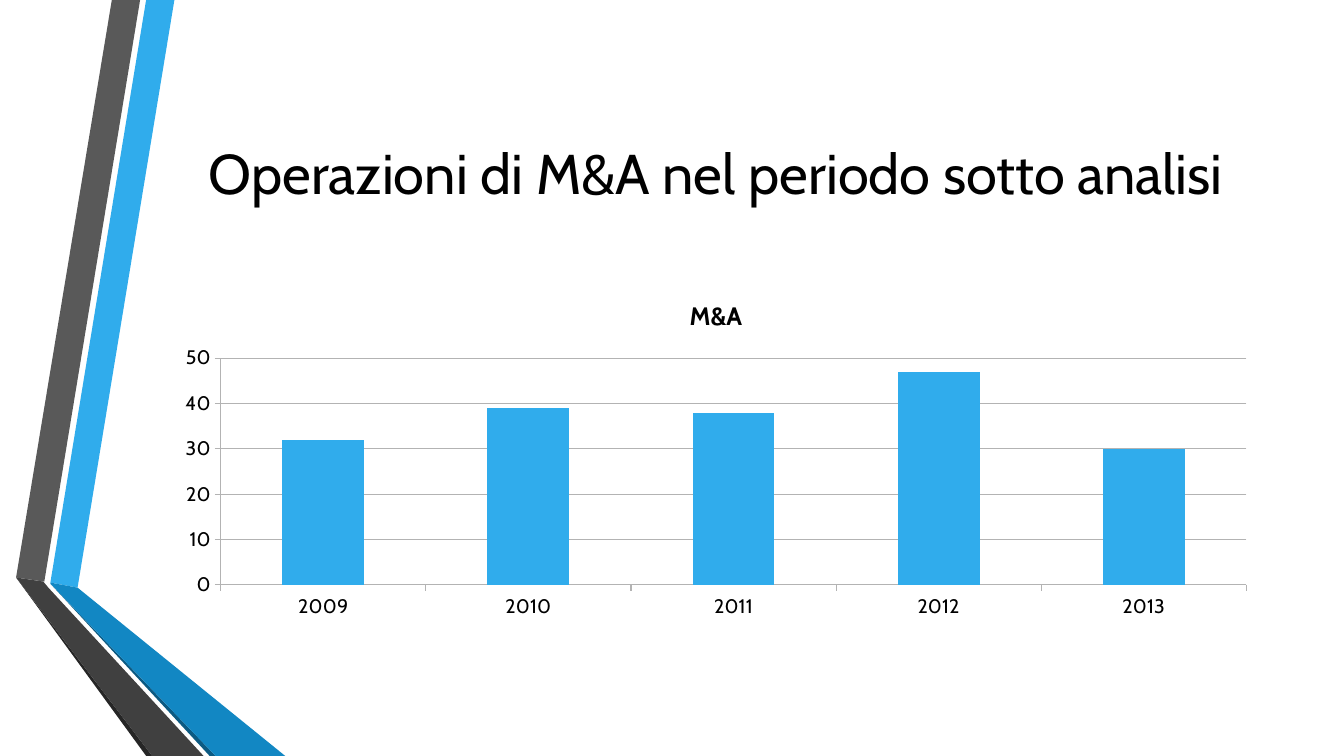
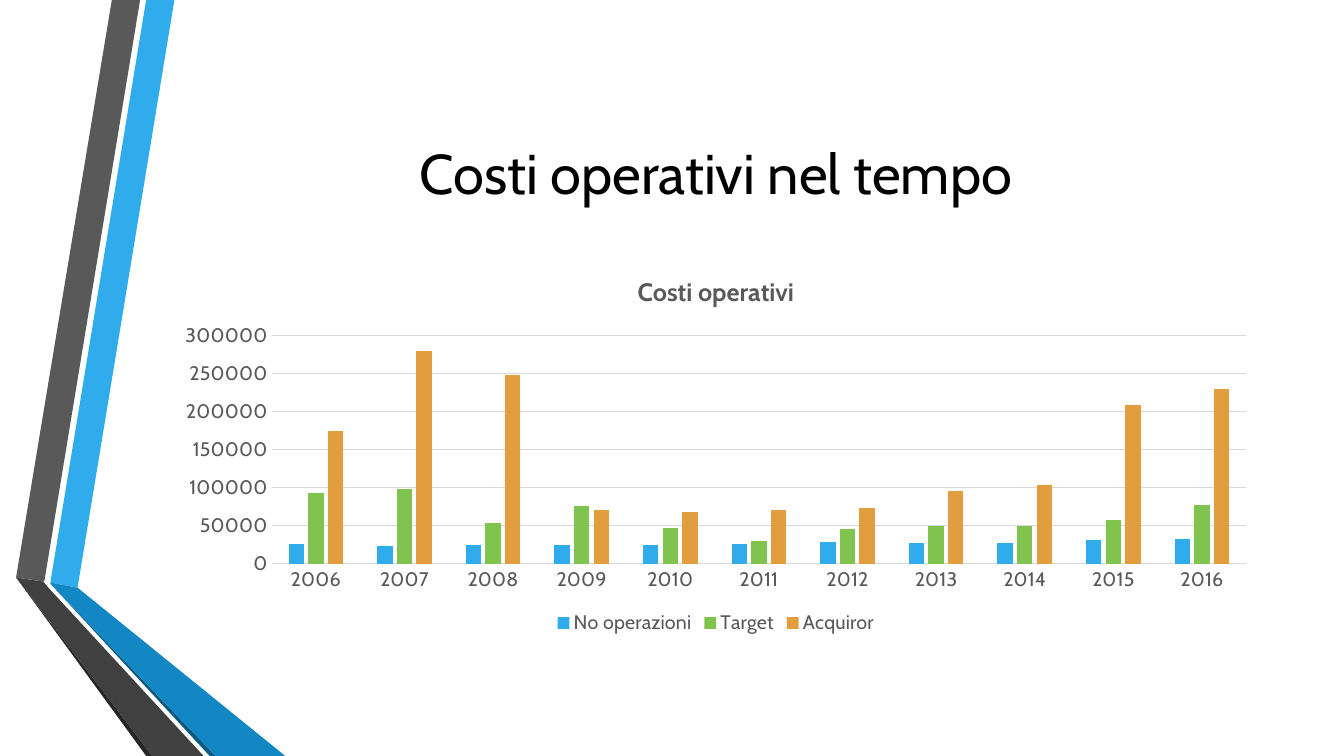
import pptx
import pptx.chart.data
import pptx.dml.color
import pptx.enum.chart
import pptx.enum.text
import pptx.util

Inches = pptx.util.Inches
Pt = pptx.util.Pt
RGBColor = pptx.dml.color.RGBColor
TickMark = pptx.enum.chart.XL_TICK_MARK

FONT = "Cabin"
BLACK = RGBColor(0x00, 0x00, 0x00)
WHITE = RGBColor(0xFF, 0xFF, 0xFF)
BLUE = RGBColor(0x30, 0xAC, 0xEC)
MID_BLUE = RGBColor(0x12, 0x87, 0xC3)
DEEP_BLUE = RGBColor(0x0C, 0x5A, 0x82)
GREEN = RGBColor(0x80, 0xC3, 0x4F)
ORANGE = RGBColor(0xE2, 0x9D, 0x3E)
GREY = RGBColor(0x59, 0x59, 0x59)
DARK_GREY = RGBColor(0x40, 0x40, 0x40)
NEAR_BLACK = RGBColor(0x26, 0x26, 0x26)
AXIS_GREY = RGBColor(0xB3, 0xB3, 0xB3)
PALE_GREY = RGBColor(0xD9, 0xD9, 0xD9)

CONTENT_LEFT, CONTENT_WIDTH = 1.62, 10.96

# Folded ribbon on the left, from back to front
RIBBON = [
    (BLUE, [(0.5, 5.78), (0.77, 5.83), (1.73, 0), (1.45, 0)]),
    (GREY, [(1.39, 0), (1.11, 0), (0.16, 5.73), (0.44, 5.77)]),
    (NEAR_BLACK, [(0.16, 5.73), (1.45, 7.5), (1.51, 7.5)]),
    (DEEP_BLUE, [(0.5, 5.79), (2.08, 7.5), (2.14, 7.5)]),
    (MID_BLUE, [(0.5, 5.79), (2.14, 7.5), (2.83, 7.5), (0.77, 5.83), (0.5, 5.78)]),
    (DARK_GREY, [(2.02, 7.5), (0.48, 5.83), (0.43, 5.77), (0.16, 5.73), (1.51, 7.5)]),
]


class Deck:
    """Holds the shared style and the current slide."""

    def __init__(self):
        """Set the slide size and the shared layout."""
        self.presentation = pptx.Presentation()
        self.presentation.slide_width = Inches(13.33)
        self.presentation.slide_height = Inches(7.5)
        self.layout = self.presentation.slide_layouts[5]
        self.layout.background.fill.solid()
        self.layout.background.fill.fore_color.rgb = WHITE
        heading = self.layout.placeholders[0]
        heading.left, heading.top = Inches(CONTENT_LEFT), Inches(0.75)
        heading.width, heading.height = Inches(CONTENT_WIDTH), Inches(1.92)
        heading.text_frame.vertical_anchor = pptx.enum.text.MSO_ANCHOR.MIDDLE
        self.slide = None

    def add_slide(self, heading):
        """Start a slide with its title."""
        first = self.slide is None
        self.slide = self.presentation.slides.add_slide(self.layout)
        if first:
            self.add_ribbon()
        frame = self.slide.shapes.title.text_frame
        frame.text = heading
        paragraph = frame.paragraphs[0]
        paragraph.alignment = pptx.enum.text.PP_ALIGN.CENTER
        self.style_font(paragraph.runs[0].font, 40, BLACK)

    def add_ribbon(self):
        """Draw the ribbon and move it to the layout, so all slides share it."""
        for position, (color, points) in enumerate(RIBBON, start=2):
            corners = [(Inches(x), Inches(y)) for x, y in points]
            builder = self.slide.shapes.build_freeform(*corners[0])
            builder.add_line_segments(corners[1:], close=True)
            band = builder.convert_to_shape()
            band.shadow.inherit = False
            band.fill.solid()
            band.fill.fore_color.rgb = color
            band.line.fill.background()
            self.layout.shapes.element.insert(position, band.element)

    def style_font(self, font, size, color, bold=False):
        """Apply the deck font with a size and a colour."""
        font.name = FONT
        font.size = Pt(size)
        font.bold = bold
        font.color.rgb = color

    def style_line(self, line, color):
        """Make a thin solid line."""
        line.color.rgb = color
        line.width = Pt(0.75)

    def add_columns(self, top, height, heading, years, series, text_color,
                    line_color, scale, gap, overlap=0, ticks=TickMark.NONE):
        """Add a clustered column chart; scale is (maximum, step)."""
        values = pptx.chart.data.CategoryChartData()
        values.categories = [str(year) for year in years]
        for name, numbers, _ in series:
            values.add_series(name, numbers)
        chart = self.slide.shapes.add_chart(
            pptx.enum.chart.XL_CHART_TYPE.COLUMN_CLUSTERED,
            Inches(CONTENT_LEFT), Inches(top),
            Inches(CONTENT_WIDTH), Inches(height), values).chart
        self.style_font(chart.font, 10, BLACK)

        chart.has_title = True
        chart.chart_title.include_in_layout = False
        chart.chart_title.text_frame.text = heading
        heading_run = chart.chart_title.text_frame.paragraphs[0].runs[0]
        self.style_font(heading_run.font, 18, text_color, bold=True)

        plot = chart.plots[0]
        plot.vary_by_categories = False
        plot.gap_width, plot.overlap = gap, overlap
        for column, (_, _, color) in zip(plot.series, series):
            column.format.fill.solid()
            column.format.fill.fore_color.rgb = color
            column.invert_if_negative = False

        for axis in (chart.category_axis, chart.value_axis):
            axis.major_tick_mark = ticks
            axis.minor_tick_mark = TickMark.NONE
            self.style_font(axis.tick_labels.font, 14, text_color)
            self.style_line(axis.format.line, line_color)
        amounts = chart.value_axis
        amounts.minimum_scale = 0
        amounts.maximum_scale, amounts.major_unit = scale
        amounts.has_major_gridlines = True
        self.style_line(amounts.major_gridlines.format.line, line_color)
        if ticks == TickMark.NONE:
            amounts.format.line.fill.background()

        chart.has_legend = len(series) > 1
        if chart.has_legend:
            chart.legend.position = pptx.enum.chart.XL_LEGEND_POSITION.BOTTOM
            chart.legend.include_in_layout = False
            self.style_font(chart.legend.font, 14, text_color)


def thousands(*numbers):
    """Turn thousands into full amounts."""
    return [number * 1000 for number in numbers]


deck = Deck()

deck.add_slide("Operazioni di M&A nel periodo sotto analisi")
deck.add_columns(
    2.79, 3.42, "M&A", range(2009, 2014),
    [("M&A", [32, 39, 38, 47, 30], BLUE)],
    BLACK, AXIS_GREY, scale=(50, 10), gap=150, ticks=TickMark.OUTSIDE)

deck.add_slide("Costi operativi nel tempo")
deck.add_columns(
    2.55, 3.79, "Costi operativi", range(2006, 2017),
    [("No operazioni", thousands(26, 23, 24, 25, 25, 26, 28, 27, 27, 31, 33), BLUE),
     ("Target", thousands(93, 98, 54, 76, 47, 30, 46, 50, 49, 57, 77), GREEN),
     ("Acquiror", thousands(175, 279, 248, 71, 68, 70, 73, 95, 103, 209, 230), ORANGE)],
    GREY, PALE_GREY, scale=(300000, 50000), gap=219, overlap=-27)

deck.presentation.save("out.pptx")
